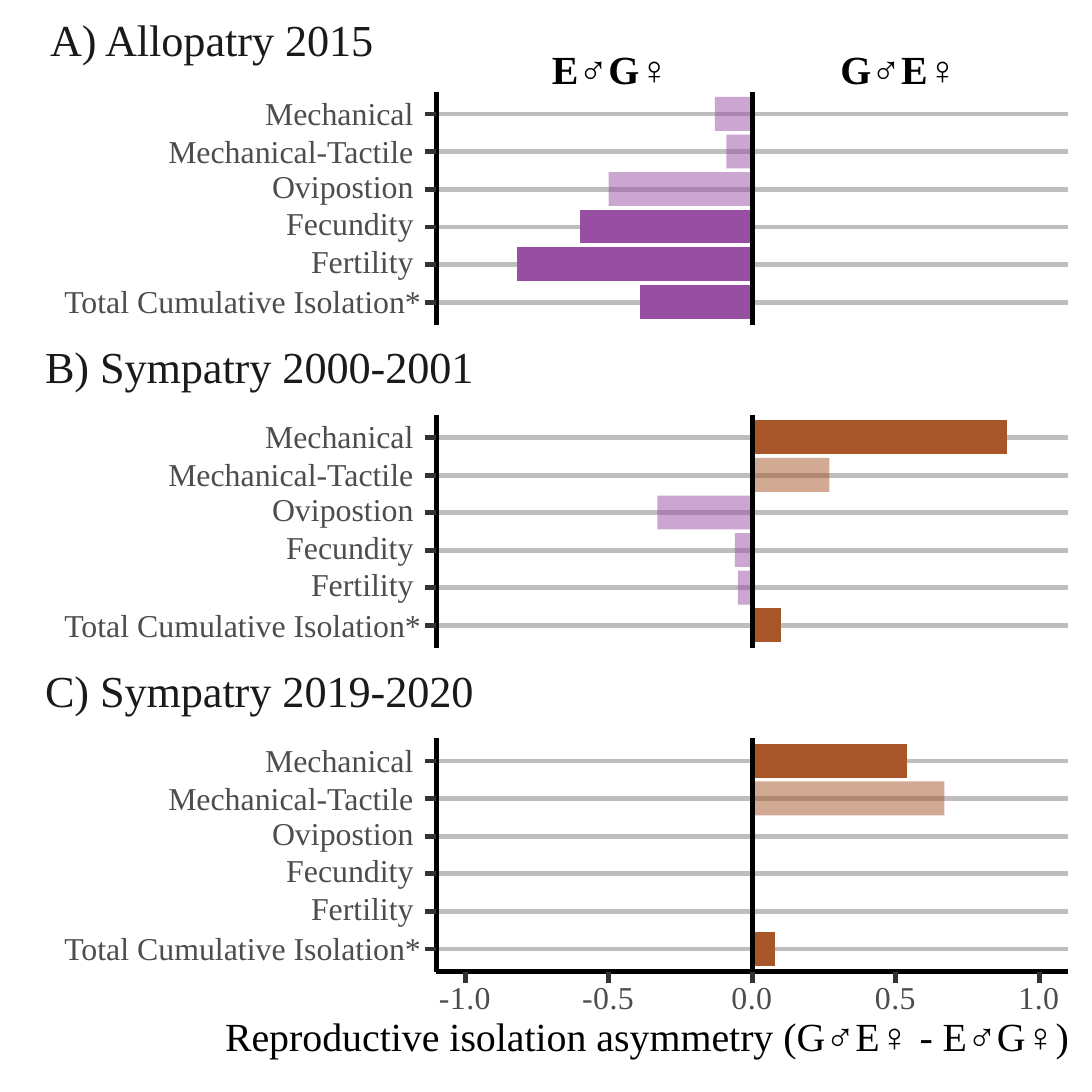
"""Build a slide of three bar charts of reproductive isolation asymmetry."""
import pptx
import pptx.chart.data
import pptx.dml.color
import pptx.enum.chart
import pptx.enum.text
import pptx.oxml
import pptx.oxml.ns
import pptx.util
from pptx.util import Cm

FONT = "Times New Roman"
PURPLE, BROWN, GREY, DARK = "984EA3", "A65628", "4D4D4D", "333333"
CATEGORIES = [
    ("Mechanical", 3.3, 0.01),
    ("Mechanical-Tactile", 3.3, 0.01),
    ("Ovipostion", 3.3, 0.03),
    ("Fecundity", 3.3, 0.03),
    ("Fertility", 3.3, 0.03),
    ("Total Cumulative Isolation*", 3.36, 0.01),
]
PANELS = [
    ("A) Allopatry 2015", 0.4, 0.31, (-0.13, -0.09, -0.5, -0.6, -0.82, -0.39), {0, 1, 2}),
    ("B) Sympatry 2000-2001", 0.36, 2.92, (0.89, 0.27, -0.33, -0.06, -0.05, 0.1), {1, 2, 3, 4}),
    ("C) Sympatry 2019-2020", 0.36, 5.5, (0.54, 0.67, None, None, None, 0.08), {1}),
]
DIRECTIONS = [("E♂G♀", 4.87), ("G♂E♀", 7.17)]
AXIS_TITLE = "Reproductive isolation asymmetry (G♂E♀ - E♂G♀)"
TICKS = (-1, -0.5, 0, 0.5, 1)

SIDE = 8.71
ZERO, UNIT, REACH = 6, 2.29, 1.1
LEFT, RIGHT = ZERO - REACH * UNIT, ZERO + REACH * UNIT
FIRST_TOP, PANEL_STEP = 0.73, 2.58
ROW, MARGIN, TICK = 0.3, 0.03, 0.09
HEIGHT = len(CATEGORIES) * ROW + 2 * MARGIN
AXIS_ROOM = 0.6
ALIGN = pptx.enum.text.PP_ALIGN
SHARE = {ALIGN.LEFT: 0, ALIGN.CENTER: 0.5, ALIGN.RIGHT: 1}


def rgb(code):
    return pptx.dml.color.RGBColor.from_string(code)


def write(page, words, x, y, size=7.2, color=GREY, bold=False, align=ALIGN.LEFT,
          width=3.3, spacing=None, box=None):
    """Place one line of text, aligned at x and centred on y."""
    height = 0.4
    box = box or page.shapes.add_textbox(0, 0, 0, 0)
    box.left, box.top = Cm(x - SHARE[align] * width), Cm(y - height / 2)
    box.width, box.height = Cm(width), Cm(height)
    frame = box.text_frame
    frame.margin_left = frame.margin_right = frame.margin_top = frame.margin_bottom = 0
    frame.auto_size = pptx.enum.text.MSO_AUTO_SIZE.NONE
    frame.vertical_anchor = pptx.enum.text.MSO_ANCHOR.MIDDLE
    frame.word_wrap = True
    para = frame.paragraphs[0]
    para.alignment = align
    if spacing:
        para.line_spacing = pptx.util.Pt(spacing)
    span = para.add_run()
    span.text = words
    span.font.name, span.font.size, span.font.bold = FONT, pptx.util.Pt(size), bold
    span.font.color.rgb = rgb(color)


def rule(page, x1, y1, x2, y2, color="000000"):
    """Draw a straight line."""
    line = page.shapes.add_connector(
        pptx.enum.shapes.MSO_CONNECTOR.STRAIGHT, Cm(x1), Cm(y1), Cm(x2), Cm(y2))
    line.line.color.rgb = rgb(color)
    line.line.width = pptx.util.Pt(1.07)
    pptx.oxml.ns.qn("a:effectLst")
    line._element.spPr.append(pptx.oxml.parse_xml(
        f'<a:effectLst {pptx.oxml.ns.nsdecls("a")}/>'))


def fix_plot(chart, height):
    """Pin the inner plot area inside the chart frame."""
    width = RIGHT - LEFT
    places = {"x": (ZERO - UNIT - LEFT) / width, "y": MARGIN / height,
              "w": 2 * UNIT / width, "h": len(CATEGORIES) * ROW / height}
    marks = "".join(f'<c:{key}Mode val="edge"/>' for key in "xy")
    marks += "".join(f'<c:{key} val="{value:.4f}"/>' for key, value in places.items())
    layout = pptx.oxml.parse_xml(
        f'<c:layout {pptx.oxml.ns.nsdecls("c")}><c:manualLayout>'
        f'<c:layoutTarget val="inner"/>{marks}</c:manualLayout></c:layout>')
    area = chart._chartSpace.chart.plotArea
    for old in area.findall(pptx.oxml.ns.qn("c:layout")):
        area.remove(old)
    area.insert(0, layout)


def add_bars(page, top, values, faint, labelled):
    """Add the bars of one panel, with value labels when asked."""
    data = pptx.chart.data.CategoryChartData(number_format="0.00")
    data.categories = [name for name, _, _ in reversed(CATEGORIES)]
    data.add_series("Asymmetry", values[::-1])
    height = HEIGHT + AXIS_ROOM * labelled
    chart = page.shapes.add_chart(
        pptx.enum.chart.XL_CHART_TYPE.BAR_CLUSTERED,
        Cm(LEFT), Cm(top), Cm(RIGHT - LEFT), Cm(height), data).chart
    chart.has_legend = chart.has_title = False
    chart.font.name, chart.font.size = FONT, pptx.util.Pt(7.2)
    chart.font.color.rgb = rgb(GREY)
    chart.category_axis.visible = False
    axis = chart.value_axis
    axis.minimum_scale, axis.maximum_scale, axis.major_unit = TICKS[0], TICKS[-1], 0.5
    axis.has_major_gridlines = False
    axis.major_tick_mark = pptx.enum.chart.XL_TICK_MARK.NONE
    axis.format.line.fill.background()
    axis.tick_labels.number_format = "0.0"
    axis.tick_labels.number_format_is_linked = False
    axis.visible = labelled
    plot = chart.plots[0]
    plot.gap_width, plot.vary_by_categories = 11, False
    series = plot.series[0]
    series.invert_if_negative = False
    for index, value in enumerate(values):
        if value is None:
            continue
        fill = series.points[len(values) - 1 - index].format.fill
        fill.solid()
        fill.fore_color.rgb = rgb(BROWN if value > 0 else PURPLE)
        if index in faint:
            shade = fill._xPr.find(".//" + pptx.oxml.ns.qn("a:srgbClr"))
            shade.append(pptx.oxml.parse_xml(
                f'<a:alpha {pptx.oxml.ns.nsdecls("a")} val="50000"/>'))
    fix_plot(chart, height)


def main():
    deck = pptx.Presentation()
    deck.slide_width = deck.slide_height = Cm(SIDE)
    page = deck.slides.add_slide(deck.slide_layouts[5])
    for number, (heading, x, y, values, faint) in enumerate(PANELS):
        top = FIRST_TOP + number * PANEL_STEP
        bottom = top + HEIGHT
        write(page, heading, x, y, size=10, color="1A1A1A", width=4,
              box=None if number else page.shapes.title)
        rows = [top + MARGIN + (row + 0.5) * ROW for row in range(len(CATEGORIES))]
        for middle in rows:
            rule(page, LEFT, middle, RIGHT, middle, color="BEBEBE")
        add_bars(page, top, values, faint, number == len(PANELS) - 1)
        for side in (LEFT, ZERO):
            rule(page, side, bottom, side, top)
        for middle, (name, right, lift) in zip(rows, CATEGORIES):
            rule(page, LEFT - TICK, middle, LEFT, middle, color=DARK)
            write(page, name, right, middle - lift, align=ALIGN.RIGHT)
    rule(page, LEFT, bottom, RIGHT, bottom)
    for value in TICKS:
        x = ZERO + value * UNIT
        rule(page, x, bottom, x, bottom + TICK, color=DARK)
    for words, x in DIRECTIONS:
        write(page, words, x, 0.55, size=9, color="000000", bold=True,
              align=ALIGN.CENTER, width=1.6)
    write(page, AXIS_TITLE, 5.16, 8.29, size=9, color="000000",
          align=ALIGN.CENTER, width=7, spacing=9)
    deck.save("out.pptx")


if __name__ == "__main__":
    main()
